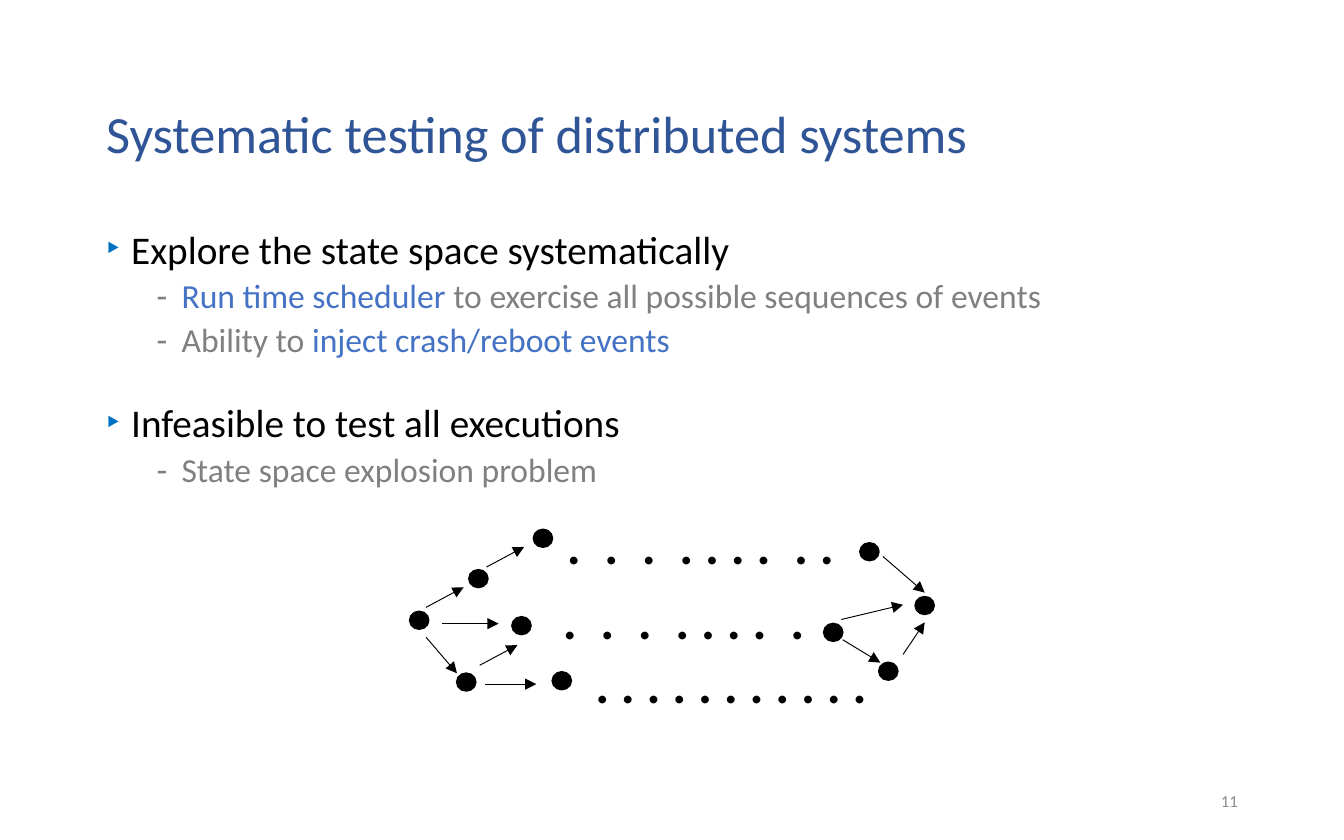
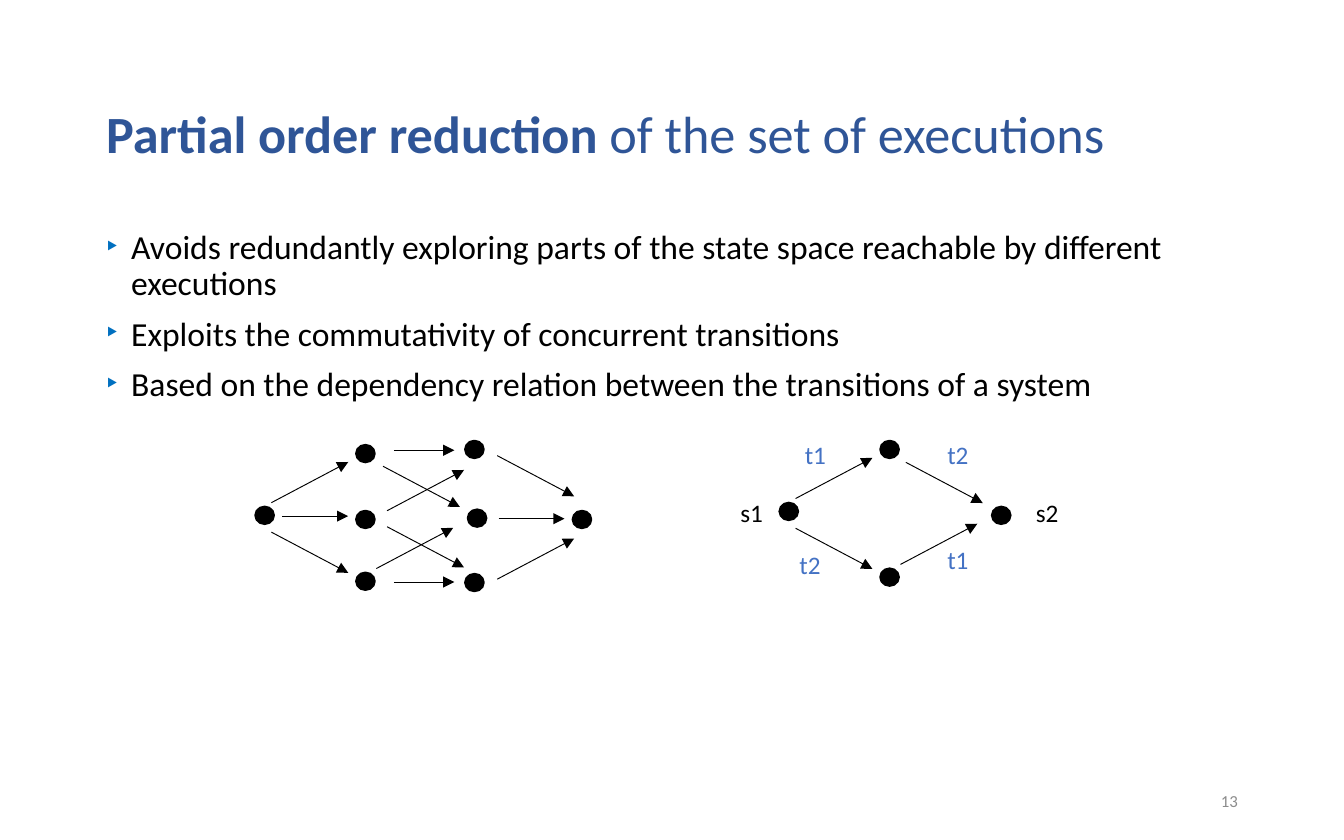
from dataclasses import dataclass

from lxml.etree import SubElement
from pptx import Presentation
from pptx.dml.color import RGBColor
from pptx.enum.shapes import MSO_CONNECTOR as Connector, MSO_SHAPE as Shape
from pptx.enum.text import MSO_ANCHOR as Anchor, MSO_AUTO_SIZE as AutoSize, PP_ALIGN as Align
from pptx.oxml.ns import qn
from pptx.util import Pt

FONT = "Calibri"
BULLET_FONT = "Arial"
COLORS = {
    "title": "2F5597",
    "text": "000000",
    "detail": "808080",
    "accent": "4472C4",
    "bullet": "0070C0",
    "number": "8C8C8C",
}
LEFT, WIDTH = 49.7, 620.6
NODE_WIDTH, NODE_HEIGHT = 10.1, 9.4
WIDE_GAP = 6.33  # extra width of a wide gap between dots
UP, DOWN = (41.2, -21.8), (41.2, 21.8)
SHORT_UP = (20.2, -10.8)


@dataclass
class Span:
    text: str
    color: str = "text"
    bold: bool = False
    spacing: float = 0


@dataclass
class Item:
    spans: list[Span]
    size: float = 18
    level: int = 0
    before: float = 7.5


@dataclass
class Node:
    x: float
    y: float


@dataclass
class Arrow:
    x: float
    y: float
    step: tuple[float, float]


@dataclass
class Label:
    text: str
    x: float
    y: float
    color: str = "accent"


@dataclass
class Dots:
    x: float
    y: float
    width: float
    gaps: str  # one letter per gap: w is wide, n is narrow


def rgb(name: str) -> RGBColor:
    return RGBColor.from_string(COLORS[name])


def add_spans(para, spans: list[Span], size: float) -> None:
    for part in spans:
        span = para.add_run()
        span.text = part.text
        span.font.name, span.font.size, span.font.bold = FONT, Pt(size), part.bold
        span.font.color.rgb = rgb(part.color)
        if part.spacing:
            span.font._element.set("spc", str(round(part.spacing * 100)))


def set_insets(frame, side: float, edge: float) -> None:
    frame.margin_left = frame.margin_right = Pt(side)
    frame.margin_top = frame.margin_bottom = Pt(edge)


def add_text(shapes, x: float, y: float, width: float, height: float,
             spans: list[Span], size: float, wrap: bool = True):
    box = shapes.add_textbox(Pt(x), Pt(y), Pt(width), Pt(height))
    box.text_frame.word_wrap = wrap
    add_spans(box.text_frame.paragraphs[0], spans, size)
    return box


# Parts shared by the slides

def add_page(deck, title: list[Span], number: str):
    page = deck.slides.add_slide(deck.slide_layouts[5])
    heading = page.shapes.title
    heading.left, heading.top = Pt(LEFT), Pt(51.1)
    heading.width, heading.height = Pt(WIDTH), Pt(44.6)
    frame = heading.text_frame
    frame.word_wrap, frame.auto_size = True, AutoSize.NONE
    frame.vertical_anchor = Anchor.MIDDLE
    set_insets(frame, 7.2, 3.6)
    para = frame.paragraphs[0]
    para.alignment, para.line_spacing = Align.LEFT, 0.9
    add_spans(para, title, 28)

    box = add_text(page.shapes, 625.7, 416.9, 44.6, 23.8, [Span(number, "number")], 9)
    box.text_frame.vertical_anchor = Anchor.MIDDLE
    box.text_frame.paragraphs[0].alignment = Align.RIGHT
    return page


def add_body(page, items: list[Item]) -> None:
    box = page.shapes.add_textbox(Pt(LEFT), Pt(119.5), Pt(WIDTH), Pt(285.8))
    frame = box.text_frame
    frame.word_wrap = True
    set_insets(frame, 7.2, 4)
    for index, item in enumerate(items):
        para = frame.add_paragraph() if index else frame.paragraphs[0]
        para.level = item.level
        mark, color = ("-", "detail") if item.level else ("‣", "bullet")
        props = para._p.get_or_add_pPr()
        props.set("marL", str(Pt(13.5 + 27 * item.level)))
        props.set("indent", str(Pt(-13.5)))
        SubElement(SubElement(props, qn("a:buClr")), qn("a:srgbClr")).set("val", COLORS[color])
        SubElement(props, qn("a:buFont")).set("typeface", BULLET_FONT)
        SubElement(props, qn("a:buChar")).set("char", mark)
        para.line_spacing = 0.9
        para.space_before = Pt(item.before if index else 0)
        add_spans(para, item.spans, item.size)


# Parts of the state graphs

def draw_node(shapes, node: Node) -> None:
    dot = shapes.add_shape(Shape.OVAL, Pt(node.x - NODE_WIDTH / 2), Pt(node.y - NODE_HEIGHT / 2),
                           Pt(NODE_WIDTH), Pt(NODE_HEIGHT))
    dot.shadow.inherit = False
    dot.fill.solid()
    dot.fill.fore_color.rgb = dot.line.color.rgb = rgb("text")
    dot.line.width = Pt(1)


def draw_arrow(shapes, arrow: Arrow) -> None:
    dx, dy = arrow.step
    line = shapes.add_connector(Connector.STRAIGHT, Pt(arrow.x), Pt(arrow.y),
                                Pt(arrow.x + dx), Pt(arrow.y + dy))
    line.line.color.rgb = rgb("text")
    line.line.width = Pt(0.5)
    props = line._element.spPr
    SubElement(props.find(qn("a:ln")), qn("a:tailEnd")).set("type", "triangle")
    SubElement(props, qn("a:effectLst"))


def draw_label(shapes, label: Label) -> None:
    box = add_text(shapes, label.x, label.y, 28, 23.8, [Span(label.text, label.color)], 13.5,
                   wrap=False)
    box.text_frame.auto_size = AutoSize.SHAPE_TO_FIT_TEXT


def draw_dots(shapes, dots: Dots) -> None:
    spans = [Span(".", bold=True)]
    for gap in dots.gaps:
        spans += [Span(" ", bold=True, spacing=WIDE_GAP if gap == "w" else 0),
                  Span(".", bold=True)]
    add_text(shapes, dots.x, dots.y, dots.width, 41, spans, 28)


DRAW = {Node: draw_node, Arrow: draw_arrow, Label: draw_label, Dots: draw_dots}


def draw_graph(shapes, parts: list) -> None:
    for part in parts:
        DRAW[type(part)](shapes, part)


# Slide contents

TESTING_BODY = [
    Item([Span("Explore the state space systematically")], 21),
    Item([Span("Run time scheduler ", "accent"),
          Span("to exercise all possible sequences of events", "detail")], level=1, before=3.8),
    Item([Span("Ability to ", "detail"), Span("inject crash/reboot events", "accent")],
         level=1, before=3.8),
    Item([Span("Infeasible to test all executions")], 21, before=23.8),
    Item([Span("State space explosion problem", "detail")], level=1, before=3.8),
]
EXPLOSION_GRAPH = [
    # Initial states
    Node(224.6, 332.3), Node(256.3, 310), Node(290.9, 288.4),
    Node(279.4, 335.2), Node(249.8, 365.4), Node(301, 364.7),
    # Final states
    Node(465.8, 295.6), Node(446.4, 338.8), Node(475.9, 359.6), Node(495.4, 324.4),
    # Transitions
    Arrow(260.6, 303.8, SHORT_UP), Arrow(228.2, 325.4, SHORT_UP), Arrow(257, 356.4, SHORT_UP),
    Arrow(228.2, 341.3, (16.6, 19.4)), Arrow(236.9, 334.1, (30.2, 0)),
    Arrow(259.9, 366.5, (27.4, 0)), Arrow(451.4, 342.7, (20.2, 12.3)),
    Arrow(473, 298.1, (22.4, 19.4)), Arrow(483.8, 350.6, (11.6, -17.2)),
    Arrow(450.7, 331.9, (33.1, -7.9)),
    # Omitted states
    Dots(296.6, 270.7, 168.5, "wwwnnnwn"),
    Dots(294.5, 311, 159.8, "wwwnnnw"),
    Dots(311.8, 345.6, 174.2, "n" * 10),
]
REDUCTION_BODY = [Item([Span(text)]) for text in (
    "Avoids redundantly exploring parts of the state space reachable by different executions",
    "Exploits the commutativity of concurrent transitions",
    "Based on the dependency relation between the transitions of a system",
)]
INTERLEAVING_GRAPH = [
    Node(141.8, 276.1),
    *[Node(195.8, y) for y in (243, 278.3, 311.4)],
    Node(254.2, 240.8), Node(255.6, 277.6), Node(254.2, 312.1),
    Node(311.8, 278.3),
    Arrow(145.4, 269.3, UP), Arrow(145.4, 285.1, DOWN), Arrow(151.2, 276.5, (35.3, 0)),
    Arrow(211, 241.2, (32.4, 0)), Arrow(211, 311.8, (32.4, 0)),
    Arrow(207.4, 273.6, UP), Arrow(207.4, 282.2, DOWN),
    Arrow(201.6, 304.6, UP), Arrow(205.2, 249.8, DOWN),
    Arrow(266.4, 244.1, DOWN), Arrow(266.4, 310.3, UP), Arrow(267.1, 277.9, (35.3, 0)),
]
COMMUTING_GRAPH = [
    Node(422.6, 274), Node(476.6, 240.8), Node(476.6, 309.2), Node(536.4, 276.1),
    Arrow(426.2, 267.1, UP), Arrow(426.2, 283, DOWN),
    Arrow(482.4, 302.4, UP), Arrow(485.3, 247.7, DOWN),
    Label("s1", 389.5, 262.8, "text"), Label("s2", 547.9, 262.8, "text"),
    Label("t1", 424.1, 231.8), Label("t2", 500.4, 231.8),
    Label("t2", 421.2, 290.9), Label("t1", 500.4, 288),
]


def main() -> None:
    deck = Presentation()
    deck.slide_width, deck.slide_height = Pt(720), Pt(450)

    # Systematic testing
    page = add_page(deck, [Span("Systematic testing of distributed systems", "title")], "11")
    add_body(page, TESTING_BODY)
    draw_graph(page.shapes.add_group_shape().shapes, EXPLOSION_GRAPH)

    # Partial order reduction
    page = add_page(deck, [Span("Partial order reduction", "title", bold=True),
                           Span(" of the set of executions", "title")], "13")
    add_body(page, REDUCTION_BODY)
    draw_graph(page.shapes, INTERLEAVING_GRAPH + COMMUTING_GRAPH)

    deck.save("out.pptx")


if __name__ == "__main__":
    main()
